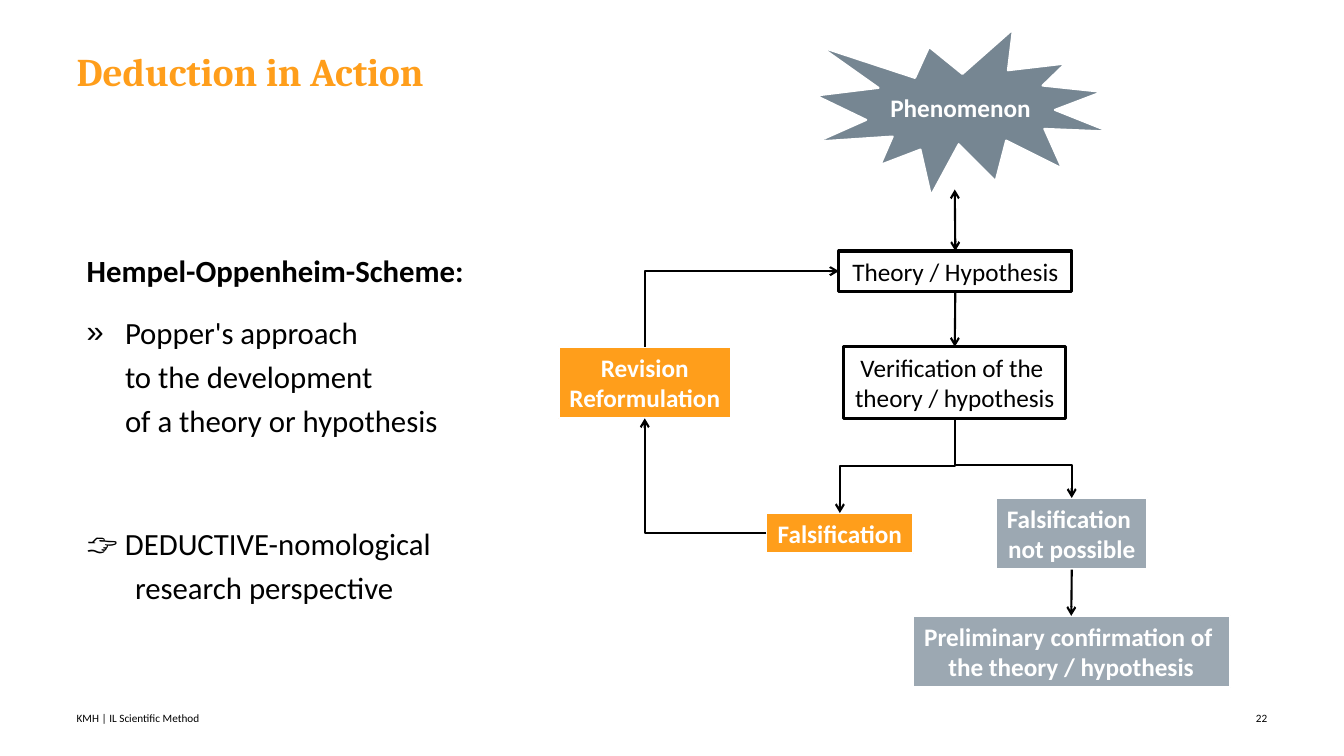
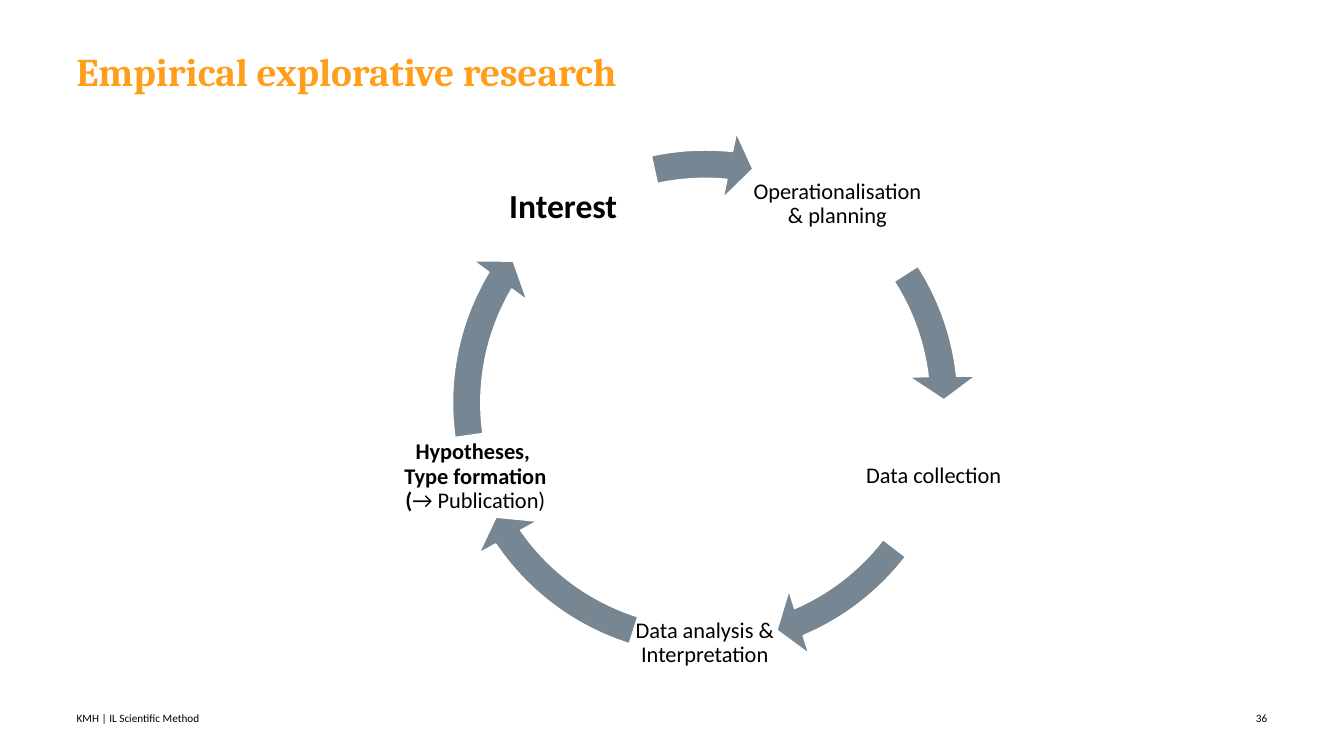
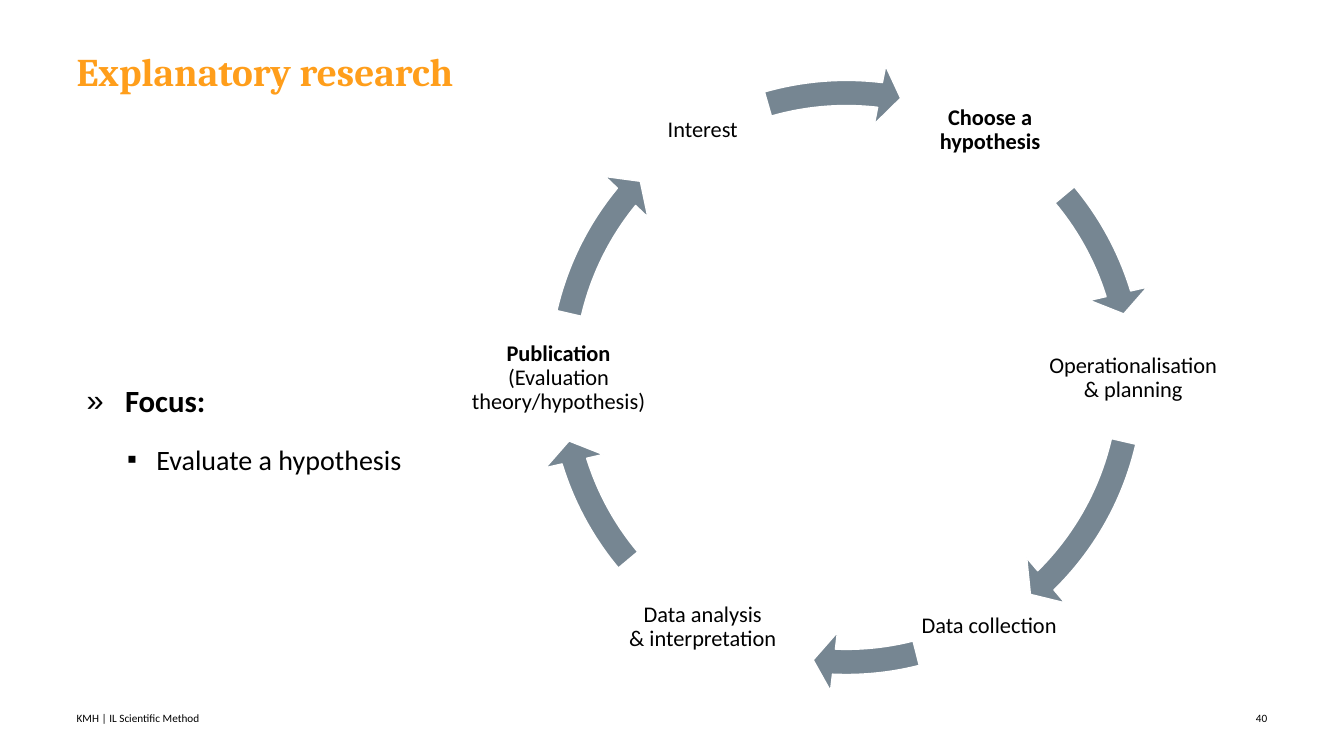
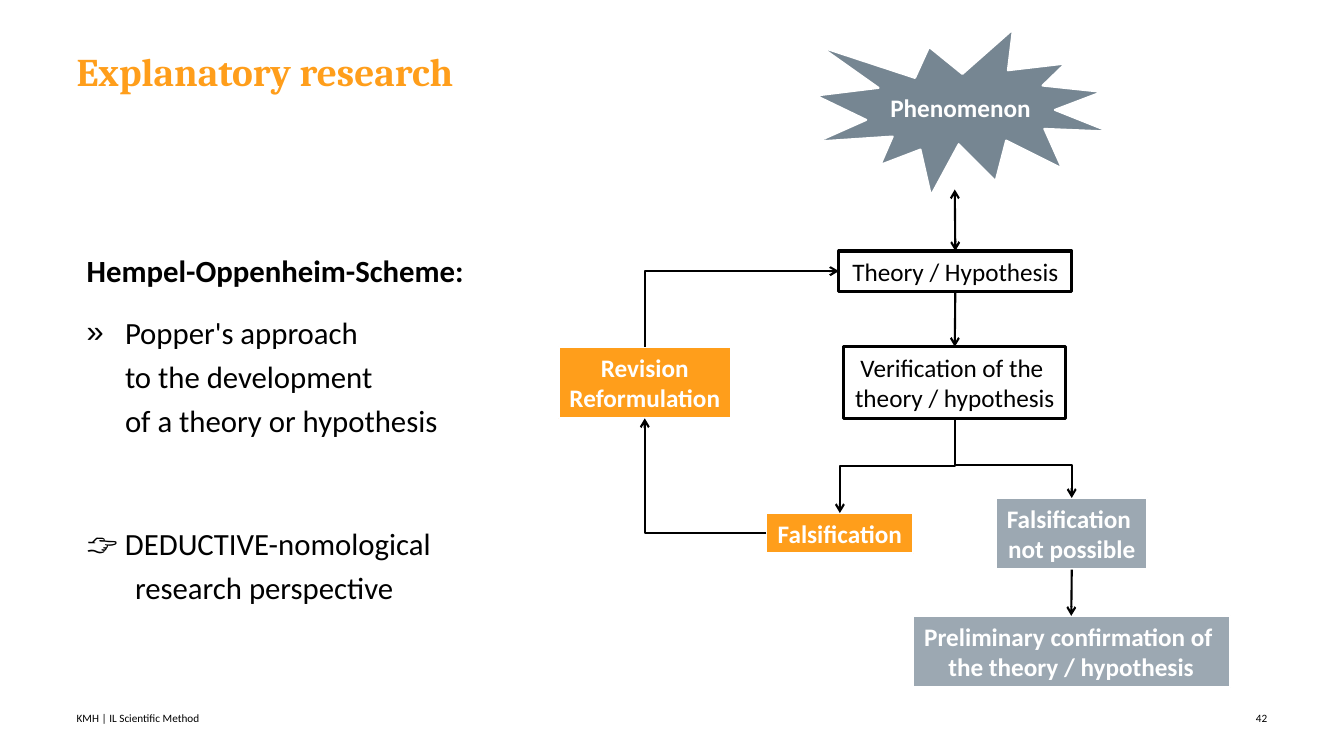
import copy
import lxml.etree
import pptx
import pptx.dml.color
import pptx.enum.shapes
import pptx.enum.text
import pptx.oxml.ns
import pptx.util

inch = pptx.util.Inches
points = pptx.util.Pt
tag = pptx.oxml.ns.qn
shapes = pptx.enum.shapes.MSO_SHAPE
wires = pptx.enum.shapes.MSO_CONNECTOR
anchors = pptx.enum.text.MSO_ANCHOR
aligns = pptx.enum.text.PP_ALIGN

ORANGE, SLATE, SILVER = "FF9E1B", "768692", "9CA8B2"
BLACK, WHITE = "000000", "FFFFFF"


def hue(code):
    return pptx.dml.color.RGBColor.from_string(code)


def write(shape, text, size=18, color=BLACK, bold=False, plain="", face="Calibri",
          align=aligns.LEFT, anchor=anchors.MIDDLE, inset=(0.1, 0.05), wrap=True,
          line=1.0, before=0, after=0, level=0, bullet=None, left=0, hang=0):
    """Add one paragraph to the shape; plain is a closing part that is not bold."""
    frame = shape.text_frame
    frame.auto_size = pptx.enum.text.MSO_AUTO_SIZE.NONE
    frame.word_wrap = wrap
    frame.vertical_anchor = anchor
    frame.margin_left = frame.margin_right = inch(inset[0])
    frame.margin_top = frame.margin_bottom = inch(inset[1])
    para = frame.add_paragraph() if frame.text else frame.paragraphs[0]
    props = para._p.get_or_add_pPr()
    props.set("marL", str(inch(left)))
    props.set("indent", str(-inch(hang)))
    if bullet:
        lxml.etree.SubElement(props, tag("a:buChar")).set("char", bullet)
    else:
        lxml.etree.SubElement(props, tag("a:buNone"))
    para.level = level
    para.alignment = align
    para.line_spacing = line
    para.space_before, para.space_after = points(before), points(after)
    for part, weight in ((text, bold), (plain, False)):
        for row, words in enumerate(part.split("\n")):
            if row:
                para.add_line_break()
            if words:
                run = para.add_run()
                run.text = words
                run.font.name, run.font.size = face, points(size)
                run.font.bold = weight
                run.font.color.rgb = hue(color)
    # A line break takes the size of the text around it.
    for gap in para._p.findall(tag("a:br")):
        gap.insert(0, copy.deepcopy(run._r.rPr))


# Each page: title, number, kind
pages = [
    ("Deduction in Action", 22, "scheme"),
    ("Empirical explorative research", 36, "explore"),
    ("Explanatory research", 40, "explain"),
    ("Explanatory research", 42, "scheme"),
]

# Body lists: width, then paragraphs
top = dict(size=22, line=1.2, after=6)
item = dict(top, before=6)
lists = {
    "scheme": (4.48, [
        ("Hempel-Oppenheim-Scheme:", dict(top, bold=True)),
        ("Popper's approach \nto the development \nof a theory or hypothesis",
         dict(item, bullet="»", left=0.38, hang=0.38)),
        ("👉 DEDUCTIVE-nomological\nresearch perspective",
         dict(item, before=50, left=0.48, hang=0.48)),
    ]),
    "explain": (5.91, [
        ("Focus:", dict(top, bold=True, bullet="»", left=0.38, hang=0.38)),
        ("Evaluate a hypothesis",
         dict(item, size=20, level=1, bullet="▪", left=0.69, hang=0.29)),
    ]),
}

# Flow chart boxes: name, place, fill, text
boxes = [
    ("theory", (8.32, 2.49, 2.31, 0.4), None, "Theory / Hypothesis"),
    ("verify", (8.37, 3.44, 2.2, 0.71), None, "Verification of the \ntheory / hypothesis"),
    ("false", (7.6, 5.09, 1.46, 0.4), ORANGE, "Falsification"),
    ("confirm", (9.05, 6.11, 3.15, 0.71), SILVER,
     "Preliminary confirmation of \nthe theory / hypothesis"),
    ("revise", (5.54, 3.44, 1.71, 0.71), ORANGE, "Revision\nReformulation"),
    ("star", (8.09, 0.29, 2.91, 1.65), SLATE, "Phenomenon"),
    ("holds", (9.88, 4.94, 1.5, 0.71), SILVER, "Falsification \nnot possible"),
]

# Flow chart arrows: from, side, to, side, then for bent ones turn, flips, preset, bend
arrows = [
    ("theory", 2, "verify", 0, None),
    ("holds", 2, "confirm", 0, None),
    ("theory", 0, None, None, None),
    ("verify", 2, "holds", 0, (270, "h", "bentConnector3", 0.59)),
    ("verify", 2, "false", 0, (90, "", "bentConnector3", 0.5)),
    ("false", 1, "revise", 2, (180, "", "bentConnector2", None)),
    ("revise", 0, "theory", 1, (90, "hv", "bentConnector2", None)),
]

# Cycles: ring (left, top, size), ring thickness, head angle, head width,
# arcs (start and end degrees), labels (place, text, format)
heavy = dict(bold=True)
cycles = {
    "explore": (
        (4.3, 1.3, 5.39), 0.052, 5.6, 0.061,
        [(327.3, 353.7), (37.6, 66.9), (107.5, 145.7), (172.1, 210.8), (257.7, 275.9)],
        [((7.4, 1.31, 1.81, 1.44), "Operationalisation\n& planning", {}),
         ((8.54, 4.01, 1.44, 1.44), "Data collection", {}),
         ((6.27, 5.66, 1.44, 1.44), "Data analysis & Interpretation", {}),
         ((3.45, 4.32, 2.53, 0.82), "Hypotheses, \nType formation\n(",
          dict(heavy, plain="→ Publication)")),
         ((4.75, 1.54, 1.67, 1.03), "Interest", dict(heavy, size=24))],
    ),
    "explain": (
        (5.28, 0.63, 6.23), 0.04, 4.2, 0.047,
        [(320.1, 342.9), (13, 45.5), (75.8, 92.5), (140.1, 162.9), (193, 219.4), (254, 276.8)],
        [((8.94, 0.65, 1.76, 1.28), "Choose a\nhypothesis", heavy),
         ((9.86, 3.11, 2.76, 1.28), "Operationalisation\n& planning", {}),
         ((8.85, 5.92, 1.92, 0.59), "Data collection", {}),
         ((5.88, 5.58, 2.18, 1.28), "Data analysis\n& interpretation", {}),
         ((4.1, 3.11, 2.88, 1.28), "Publication\n",
          dict(heavy, plain="(Evaluation\ntheory/hypothesis)")),
         ((6.33, 0.65, 1.28, 1.28), "Interest", {})],
    ),
}

deck = pptx.Presentation()
deck.slide_width, deck.slide_height = inch(13.33), inch(7.5)

for name, number, kind in pages:
    slide = deck.slides.add_slide(deck.slide_layouts[1 if kind in lists else 5])
    title = slide.shapes.title
    title.left, title.top, title.width, title.height = map(inch, (0.76, 0.52, 9.76, 0.87))
    write(title, name, size=28, color=ORANGE, bold=True, face="Cambria",
          anchor=anchors.TOP, inset=(0, 0), line=0.9)
    for place, text, align in (((0.76, 7.04, 5.59, 0.16), "KMH | IL Scientific Method", aligns.LEFT),
                               ((12.02, 7.04, 0.55, 0.16), str(number), aligns.RIGHT)):
        foot = slide.shapes.add_textbox(*map(inch, place))
        write(foot, text, size=8, align=align, inset=(0, 0))

    if kind in lists:
        width, items = lists[kind]
        body = slide.placeholders[1]
        body.left, body.top, body.width, body.height = map(inch, (0.76, 1.7, width, 5.04))
        for text, style in items:
            write(body, text, **style)

    if kind in cycles:
        (left, high, side), thick, head, wide, arcs, labels = cycles[kind]
        for start, end in arcs:
            arc = slide.shapes.add_shape(shapes.CIRCULAR_ARROW, *map(inch, (left, high, side, side)))
            arc.shadow.inherit = False
            arc.fill.solid()
            arc.fill.fore_color.rgb = hue(SLATE)
            arc.line.color.rgb = hue(WHITE)
            arc.line.width = points(1)
            # Angles count in 60000ths of a degree, adjustments in 100000ths.
            for spot, value in enumerate((thick, head * 0.6, end * 0.6, start * 0.6, wide)):
                arc.adjustments[spot] = value
        for place, text, style in labels:
            label = slide.shapes.add_textbox(*map(inch, place))
            write(label, text, **{"size": 16, "align": aligns.CENTER, "line": 0.9,
                                  "inset": (0.02, 0.02), **style})

    if kind == "scheme":
        nodes = {}
        for key, place, fill, text in boxes:
            form = shapes.EXPLOSION1 if key == "star" else shapes.RECTANGLE
            node = nodes[key] = slide.shapes.add_shape(form, *map(inch, place))
            node.shadow.inherit = False
            if fill:
                node.fill.solid()
                node.fill.fore_color.rgb = hue(fill)
            else:
                node.fill.background()
            node.line.color.rgb = hue(WHITE if fill else BLACK)
            node.line.width = points(1.5 if fill else 2.25)
            write(node, text, color=WHITE if fill else BLACK, bold=bool(fill),
                  align=aligns.CENTER, wrap=key == "star")

        for source, out, target, into, bent in arrows:
            wire = slide.shapes.add_connector(wires.ELBOW if bent else wires.STRAIGHT,
                                              *map(inch, (9.47, 2.49, 9.47, 1.88)))
            wire.begin_connect(nodes[source], out)
            if target:
                wire.end_connect(nodes[target], into)
            wire.line.color.rgb = hue(BLACK)
            wire.line.width = points(1.5)
            ends = ("tailEnd",) if target else ("headEnd", "tailEnd")
            for end in ends:
                lxml.etree.SubElement(wire.line._get_or_add_ln(), tag("a:" + end)).set("type", "arrow")
            props = wire._element.spPr
            lxml.etree.SubElement(props, tag("a:effectLst"))
            if bent:
                turn, flips, preset, bend = bent
                midx, midy = (wire.begin_x + wire.end_x) // 2, (wire.begin_y + wire.end_y) // 2
                wide, high = abs(wire.end_x - wire.begin_x), abs(wire.end_y - wire.begin_y)
                if turn != 180:
                    wide, high = high, wide
                wire.left, wire.top = midx - wide // 2, midy - high // 2
                wire.width, wire.height = wide, high
                frame = props.find(tag("a:xfrm"))
                frame.set("rot", str(turn * 60000))
                frame.set("flipH", str(int("h" in flips)))
                frame.set("flipV", str(int("v" in flips)))
                shape = props.find(tag("a:prstGeom"))
                shape.set("prst", preset)
                if bend:
                    guide = lxml.etree.SubElement(shape.find(tag("a:avLst")), tag("a:gd"))
                    guide.set("name", "adj1")
                    guide.set("fmla", f"val {round(bend * 100000)}")

deck.save("out.pptx")
